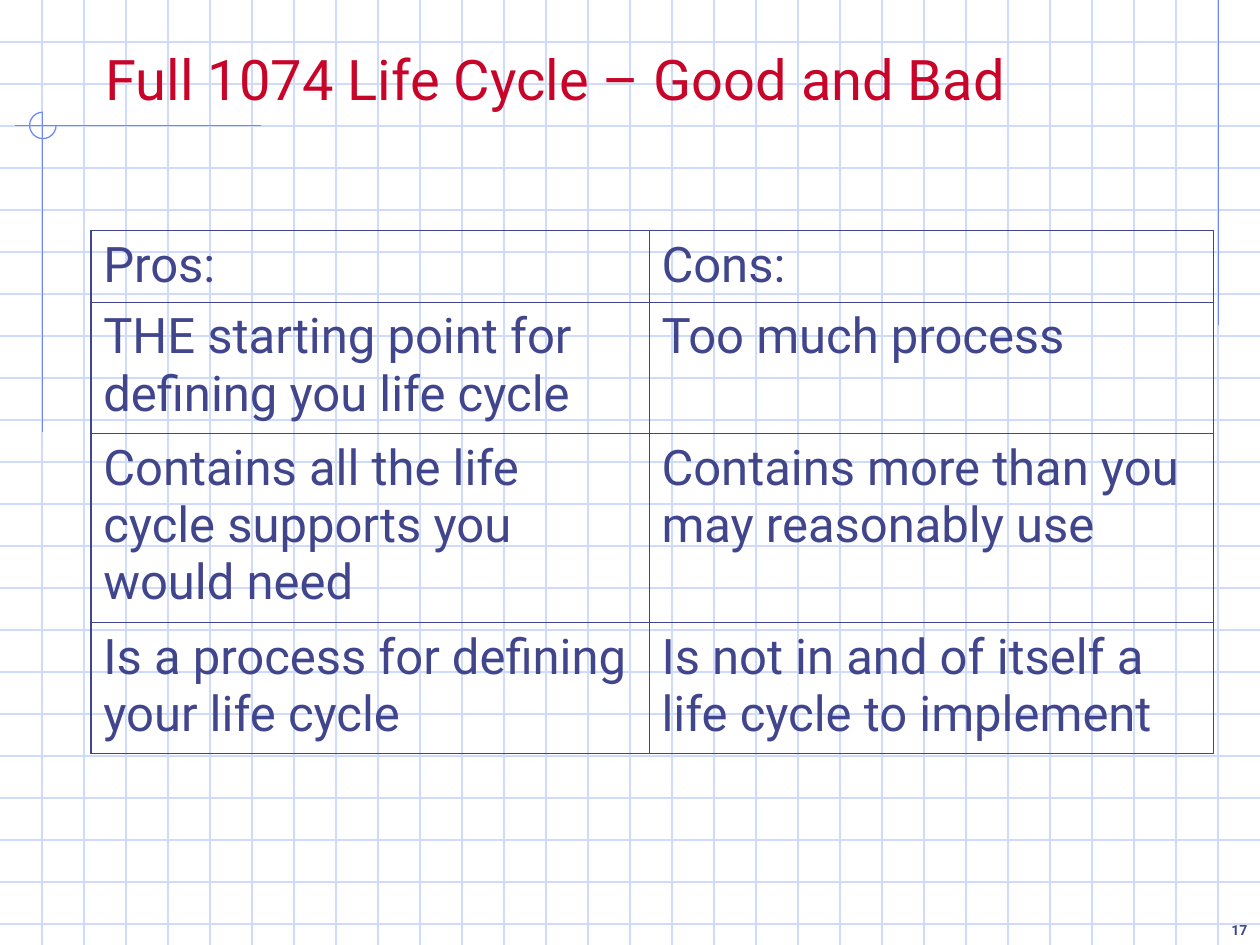
from lxml import etree
from pptx import Presentation
from pptx.dml.color import RGBColor
from pptx.enum import shapes, text
from pptx.oxml import ns
from pptx.util import Inches, Pt

GRID_BLUE = RGBColor(0xCF, 0xDB, 0xFD)
ACCENT_BLUE = RGBColor(0x6F, 0x89, 0xF7)
TITLE_RED = RGBColor(0xC8, 0x04, 0x29)
INDIGO = RGBColor(0x40, 0x45, 0x8C)
FONT = "Roboto"
GRID_STEPS_PER_INCH = 3
OUTER_BORDER, INNER_BORDER = Pt(1.08), Pt(0.45)

PROS_AND_CONS = [
    ("Pros:", "Cons:"),
    ("THE starting point for defining you life cycle", "Too much process"),
    ("Contains all the life cycle supports you would need",
     "Contains more than you may reasonably use"),
    ("Is a process for defining your life cycle",
     "Is not in and of itself a life cycle to implement"),
]


def add_line(slide, x1, y1, x2, y2, color):
    line = slide.shapes.add_connector(
        shapes.MSO_CONNECTOR.STRAIGHT, Inches(x1), Inches(y1), Inches(x2), Inches(y2))
    line.line.color.rgb = color
    line.line.width = Pt(0.75)
    etree.SubElement(line._element.spPr, ns.qn("a:effectLst"))


def format_text(paragraph, size, color, bold=False):
    font = paragraph.font
    font.name, font.size, font.bold = FONT, Pt(size), bold
    font.color.rgb = color


def add_label(slide, left, top, width, height, words, size, color,
              align=text.PP_ALIGN.LEFT, bold=False):
    frame = slide.shapes.add_textbox(
        Inches(left), Inches(top), Inches(width), Inches(height)).text_frame
    frame.word_wrap = True
    frame.vertical_anchor = text.MSO_ANCHOR.BOTTOM
    frame.text = words
    frame.paragraphs[0].alignment = align
    format_text(frame.paragraphs[0], size, color, bold)


def add_graph_paper(slide, left, top, width, height):
    for step in range(1, int(height * GRID_STEPS_PER_INCH) + 1):
        y = top + step / GRID_STEPS_PER_INCH
        add_line(slide, left, y, left + width, y, GRID_BLUE)
    for step in range(1, int(width * GRID_STEPS_PER_INCH)):
        x = left + step / GRID_STEPS_PER_INCH
        add_line(slide, x, top, x, top + height, GRID_BLUE)


def add_corner_mark(slide, left, top, width, height):
    """Draw two crossing rules with a three-quarter circle at the crossing."""
    radius = 0.105
    center_x, center_y = left + 0.22, top + radius
    add_line(slide, left, center_y, left + width, center_y, ACCENT_BLUE)
    add_line(slide, center_x, top, center_x, top + height, ACCENT_BLUE)
    arc = slide.shapes.add_shape(
        shapes.MSO_SHAPE.ARC, Inches(center_x - radius), Inches(top),
        Inches(2 * radius), Inches(2 * radius))
    # Angles are stored in 60000ths of a degree, adjustments in 100000ths.
    arc.adjustments[0] = 0
    arc.adjustments[1] = 270 * 0.6
    arc.shadow.inherit = False
    arc.fill.background()
    arc.line.color.rgb = ACCENT_BLUE
    arc.line.width = Pt(0.75)


def set_borders(cell, widths):
    properties = cell._tc.get_or_add_tcPr()
    for side, width in widths.items():
        border = etree.SubElement(properties, ns.qn(f"a:ln{side}"), w=str(int(width)))
        fill = etree.SubElement(border, ns.qn("a:solidFill"))
        etree.SubElement(fill, ns.qn("a:srgbClr"), val=str(INDIGO))


def add_pros_and_cons(slide, left, top, column_widths, row_heights):
    table = slide.shapes.add_table(
        len(row_heights), len(column_widths), Inches(left), Inches(top),
        Inches(sum(column_widths)), Inches(sum(row_heights))).table
    table.first_row = table.horz_banding = False
    for column, width in zip(table.columns, column_widths):
        column.width = Inches(width)
    for row, height in zip(table.rows, row_heights):
        row.height = Inches(height)

    last_row, last_column = len(row_heights) - 1, len(column_widths) - 1
    for r, points in enumerate(PROS_AND_CONS):
        for c, point in enumerate(points):
            cell = table.cell(r, c)
            cell.text = point
            format_text(cell.text_frame.paragraphs[0], 28, INDIGO)
            on_edge = {"L": c == 0, "R": c == last_column, "T": r == 0, "B": r == last_row}
            set_borders(cell, {side: OUTER_BORDER if outer else INNER_BORDER
                               for side, outer in on_edge.items()})
            cell.fill.background()


def main():
    presentation = Presentation()
    presentation.slide_width, presentation.slide_height = Inches(10), Inches(7.5)
    slide = presentation.slides.add_slide(presentation.slide_layouts[6])

    add_graph_paper(slide, 0, 0, 10, 7.5)
    add_line(slide, 9.67, 0, 9.67, 2.58, ACCENT_BLUE)
    add_corner_mark(slide, 0.12, 0.89, 1.95, 2.54)
    add_label(slide, 0.74, 0.33, 8.5, 0.61,
              "Full 1074 Life Cycle – Good and Bad", 32, TITLE_RED)
    add_pros_and_cons(slide, 0.72, 1.83, [4.43, 4.48], [0.57, 1.04, 1.5, 1.04])
    add_label(slide, 9.53, 7.2, 0.47, 0.3, "17", 8, INDIGO,
              align=text.PP_ALIGN.RIGHT, bold=True)
    presentation.save("out.pptx")


if __name__ == "__main__":
    main()
